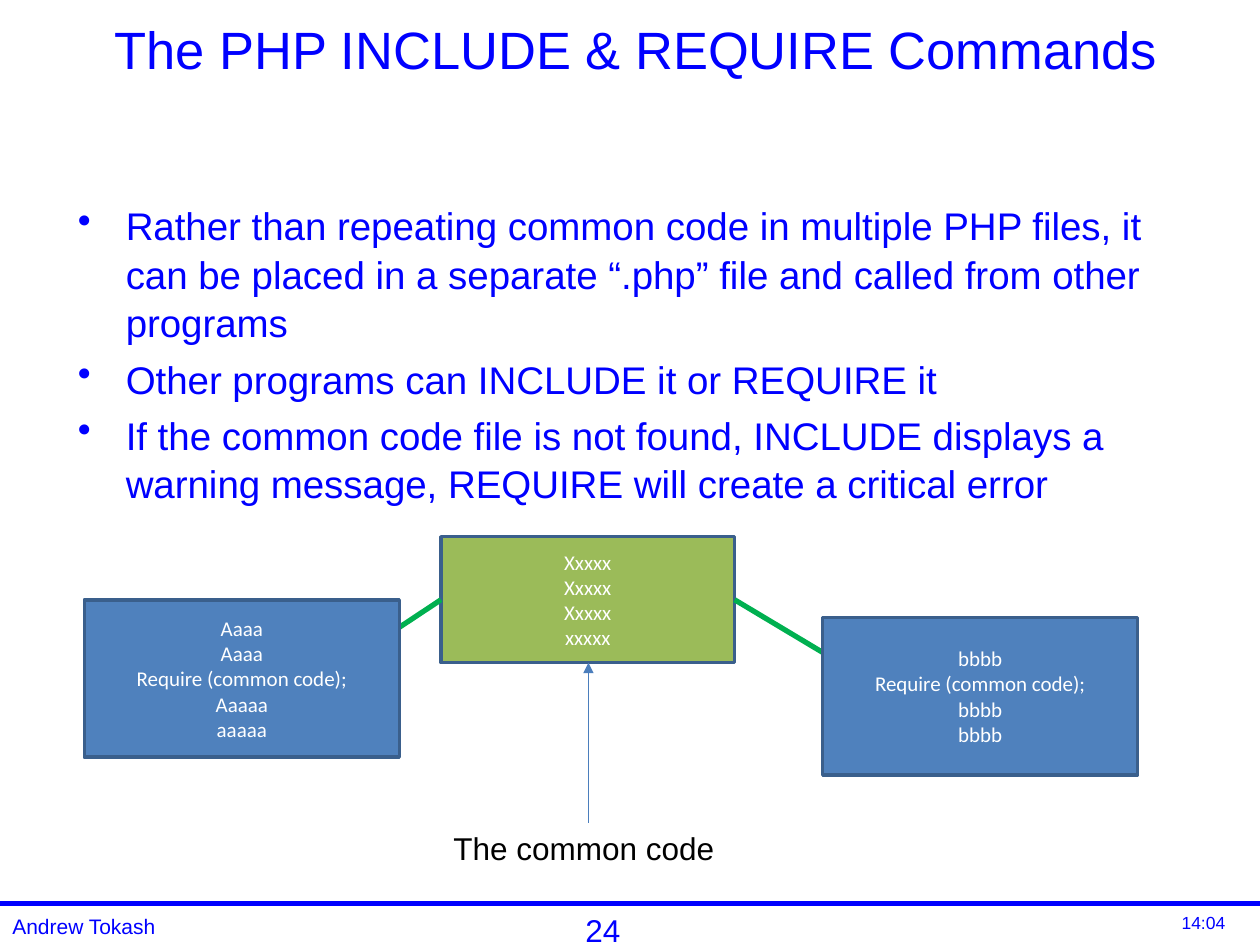
"""Build the slide on the PHP INCLUDE and REQUIRE commands."""
import dataclasses

import pptx
import pptx.dml.color
import pptx.enum.shapes
import pptx.enum.text
import pptx.oxml
import pptx.oxml.ns
import pptx.util

Inches = pptx.util.Inches
Pt = pptx.util.Pt
ALIGN = pptx.enum.text.PP_ALIGN
ANCHOR = pptx.enum.text.MSO_ANCHOR


@dataclasses.dataclass(frozen=True)
class Theme:
    """Colours, fonts and type sizes."""
    ink: str = "0000FF"
    black: str = "000000"
    white: str = "FFFFFF"
    blue: str = "4F81BD"
    green: str = "9BBB59"
    edge: str = "3A5F8C"
    link: str = "00B050"
    arrow: str = "4B7EBC"
    font: str = "Arial"
    code: str = "Calibri"
    title: int = 30
    body: int = 22
    label: int = 18
    small: int = 12
    time: int = 10


THEME = Theme()


def rgb(code):
    """Turn a hex code into a colour."""
    return pptx.dml.color.RGBColor.from_string(code)


def write(frame, text, size, color, font=THEME.font, align=ALIGN.LEFT, anchor=ANCHOR.TOP):
    """Fill a text frame and format its runs."""
    frame.text = text
    frame.word_wrap = True
    frame.vertical_anchor = anchor
    for para in frame.paragraphs:
        para.alignment = align
        for run in para.runs:
            run.font.name = font
            run.font.size = Pt(size)
            run.font.color.rgb = rgb(color)


def add_text(slide, box, text, size, color=THEME.ink, **style):
    """Add a text box and return its frame."""
    frame = slide.shapes.add_textbox(*map(Inches, box)).text_frame
    write(frame, text, size, color, **style)
    return frame


def add_list(slide, box, items):
    """Add a bulleted list."""
    frame = add_text(slide, box, "\n".join(items), THEME.body)
    for para in frame.paragraphs:
        para.space_before = Pt(THEME.body * 0.2)
        para.line_spacing = 1.05
        props = para._p.get_or_add_pPr()
        props.set("marL", str(Inches(0.38)))
        props.set("indent", str(Inches(-0.38)))
        mark = pptx.oxml.parse_xml(
            f'<a:buChar {pptx.oxml.ns.nsdecls("a")} char="•"/>')
        props.append(mark)


def add_line(slide, start, end, color, width, head=True):
    """Add a straight line, with an arrowhead at its end if asked."""
    kind = pptx.enum.shapes.MSO_CONNECTOR.STRAIGHT
    line = slide.shapes.add_connector(kind, *map(Inches, start + end))
    line.line.color.rgb = rgb(color)
    line.line.width = Pt(width)
    space = pptx.oxml.ns.nsdecls("a")
    if head:
        tip = pptx.oxml.parse_xml(f'<a:tailEnd {space} type="triangle"/>')
        line.line._get_or_add_ln().append(tip)
    line._element.spPr.append(pptx.oxml.parse_xml(f"<a:effectLst {space}/>"))


def add_code(slide, box, lines, fill):
    """Add a filled box that stands for a code file."""
    kind = pptx.enum.shapes.MSO_SHAPE.RECTANGLE
    shape = slide.shapes.add_shape(kind, *map(Inches, box))
    shape.shadow.inherit = False
    shape.fill.solid()
    shape.fill.fore_color.rgb = rgb(fill)
    shape.line.color.rgb = rgb(THEME.edge)
    shape.line.width = Pt(2)
    write(shape.text_frame, "\n".join(lines), THEME.small, THEME.white,
          THEME.code, ALIGN.CENTER, ANCHOR.MIDDLE)


def add_footer(slide):
    """Add the rule, page number, author and time."""
    add_line(slide, (0, 7.17), (10, 7.17), THEME.ink, 2.75, head=False)
    add_text(slide, (3.7, 7.18, 2.17, 0.4), "24", THEME.label, align=ALIGN.CENTER)
    add_text(slide, (0, 7.2, 2.17, 0.3), "Andrew Tokash", THEME.small)
    add_text(slide, (9.28, 7.19, 0.77, 0.3), "14:04", THEME.time)


def main():
    """Build and save the slide."""
    deck = pptx.Presentation()
    deck.slide_width, deck.slide_height = Inches(10), Inches(7.5)
    slide = deck.slides.add_slide(deck.slide_layouts[6])
    add_footer(slide)
    add_text(slide, (0.55, 0.02, 9, 0.73), "The PHP INCLUDE & REQUIRE Commands",
             THEME.title, align=ALIGN.CENTER, anchor=ANCHOR.MIDDLE)
    add_list(slide, (0.52, 1.54, 9, 5.43), [
        "Rather than repeating common code in multiple PHP files, it can be "
        "placed in a separate “.php” file and called from other programs",
        "Other programs can INCLUDE it or REQUIRE it",
        "If the common code file is not found, INCLUDE displays a warning "
        "message, REQUIRE will create a critical error",
    ])
    call = "Require (common code);"
    add_code(slide, (3.5, 4.26, 2.33, 1), ["Xxxxx"] * 3 + ["xxxxx"], THEME.green)
    add_line(slide, (3.5, 4.76), (2.67, 5.31), THEME.link, 3)
    add_line(slide, (5.83, 4.76), (6.75, 5.31), THEME.link, 3)
    add_text(slide, (3.5, 6.53, 2.33, 0.4), "The common code", THEME.label, THEME.black)
    add_line(slide, (4.67, 6.53), (4.67, 5.26), THEME.arrow, 0.75)
    add_code(slide, (0.67, 4.76, 2.5, 1.25),
             ["Aaaa", "Aaaa", call, "Aaaaa", "aaaaa"], THEME.blue)
    add_code(slide, (6.53, 4.9, 2.5, 1.25), ["bbbb", call, "bbbb", "bbbb"], THEME.blue)
    deck.save("out.pptx")


if __name__ == "__main__":
    main()
